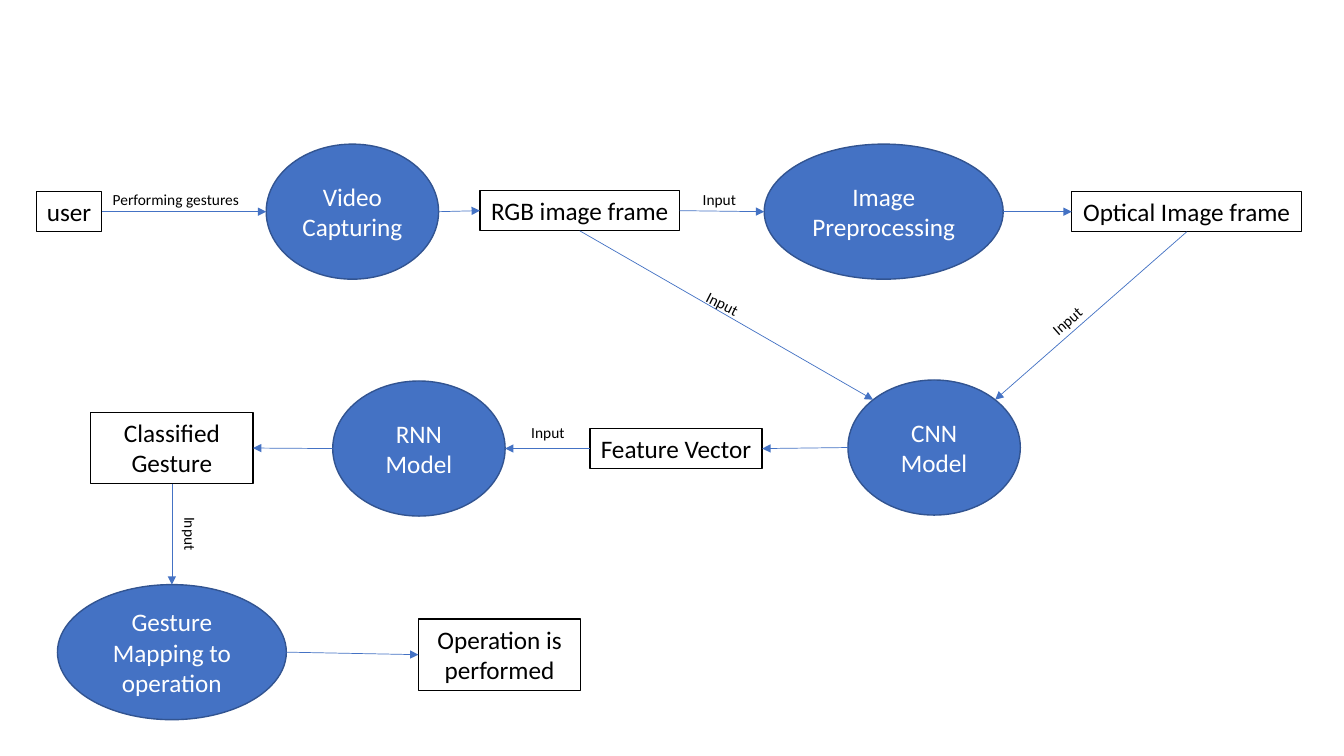
"""Build the gesture recognition data flow slide."""
from lxml.etree import SubElement
from pptx import Presentation
from pptx.dml.color import RGBColor
from pptx.enum.shapes import MSO_CONNECTOR, MSO_SHAPE
from pptx.enum.text import MSO_ANCHOR, MSO_AUTO_SIZE, PP_ALIGN
from pptx.oxml.ns import qn
from pptx.util import Inches, Pt

BLACK = RGBColor(0x00, 0x00, 0x00)
WHITE = RGBColor(0xFF, 0xFF, 0xFF)
BLUE = RGBColor(0x44, 0x72, 0xC4)
NAVY = RGBColor(0x32, 0x54, 0x91)

PROCESS_HEIGHT = 1.34
LABEL_HEIGHT = 0.29

DATA = {
    "user": (0.36, 1.9, 0.65, 0.4),
    "Feature Vector": (5.85, 4.25, 1.71, 0.4),
    "Optical Image frame": (10.63, 1.9, 2.28, 0.4),
    "RGB image frame": (4.76, 1.89, 1.98, 0.4),
    "Classified Gesture": (0.9, 4.09, 1.61, 0.71),
    "Operation is performed": (4.15, 6.14, 1.61, 0.71),
}
WRAPPED = {"Classified Gesture", "Operation is performed"}

PROCESSES = {
    "CNN Model": (8.41, 3.77, 1.71),
    "RNN Model": (3.3, 3.78, 1.71),
    "Image Preprocessing": (7.58, 1.43, 2.37),
    "Gesture Mapping to operation": (0.57, 5.8, 2.27),
    "Video Capturing": (2.64, 1.43, 1.71),
}

FLOWS = [
    ("user", "right", "Video Capturing", "left"),
    ("Video Capturing", "right", "RGB image frame", "left"),
    ("RGB image frame", "right", "Image Preprocessing", "left"),
    ("Image Preprocessing", "right", "Optical Image frame", "left"),
    ("RGB image frame", "bottom", "CNN Model", "top left"),
    ("Optical Image frame", "bottom", "CNN Model", "top right"),
    ("CNN Model", "left", "Feature Vector", "right"),
    ("Feature Vector", "left", "RNN Model", "right"),
    ("RNN Model", "left", "Classified Gesture", "right"),
    ("Classified Gesture", "bottom", "Gesture Mapping to operation", "top"),
    ("Gesture Mapping to operation", "right", "Operation is performed", "left"),
]

FLOW_LABELS = [
    ("Performing gestures", 1.01, 1.84, 1.47, 0),
    ("Input", 6.87, 1.84, 0.53, 0),
    ("Input", 10.32, 3.04, 0.53, 318.9),
    ("Input", 6.9, 2.87, 0.53, 26.9),
    ("Input", 5.17, 4.15, 0.53, 0),
    ("Input", 1.62, 5.15, 0.53, 90),
]

SIDES = {
    "top": (0.5, 0), "left": (0, 0.5), "bottom": (0.5, 1), "right": (1, 0.5),
    "top left": (0.146, 0.146), "top right": (0.854, 0.146),
}
BOX_SITES = {"top": 0, "left": 1, "bottom": 2, "right": 3}

DATA_FRAME = {"vertical_anchor": MSO_ANCHOR.TOP,
              "auto_size": MSO_AUTO_SIZE.SHAPE_TO_FIT_TEXT}
PROCESS_FRAME = {"vertical_anchor": MSO_ANCHOR.MIDDLE, "word_wrap": True}
LABEL_FRAME = {"word_wrap": False, "auto_size": MSO_AUTO_SIZE.SHAPE_TO_FIT_TEXT}


def apply(target, values):
    """Set each named attribute on the target."""
    for attribute, value in values.items():
        setattr(target, attribute, value)


def write(shape, wording, size, color, frame_format):
    """Put centred wording into a shape."""
    frame = shape.text_frame
    apply(frame, frame_format)
    paragraph = frame.paragraphs[0]
    paragraph.alignment = PP_ALIGN.CENTER
    run = paragraph.add_run()
    run.text = wording
    apply(run.font, {"name": "Calibri", "size": Pt(size)})
    run.font.color.rgb = color


def add_node(slide, preset, wording, bounds, colors, frame_format):
    """Add one filled and outlined node of the flow."""
    fill, outline, ink = colors
    node = slide.shapes.add_shape(preset, *map(Inches, bounds))
    node.shadow.inherit = False
    node.fill.solid()
    node.fill.fore_color.rgb = fill
    node.line.color.rgb = outline
    node.line.width = Pt(1)
    write(node, wording, 18, ink, frame_format)
    return node


def side_point(node, side):
    """Return the point on a node's outline for a named side."""
    across, down = SIDES[side]
    return (node.left + round(across * node.width),
            node.top + round(down * node.height))


def add_flow(slide, nodes, source, source_side, target, target_side):
    """Add an arrow and join it to the data boxes it touches."""
    flow = slide.shapes.add_connector(
        MSO_CONNECTOR.STRAIGHT,
        *side_point(nodes[source], source_side),
        *side_point(nodes[target], target_side))
    if source in DATA:
        flow.begin_connect(nodes[source], BOX_SITES[source_side])
    if target in DATA:
        flow.end_connect(nodes[target], BOX_SITES[target_side])
    flow.line.color.rgb = BLUE
    flow.line.width = Pt(0.5)
    SubElement(flow.line._get_or_add_ln(), qn("a:tailEnd"), type="triangle")
    SubElement(flow._element.spPr, qn("a:effectLst"))


def main():
    """Assemble the slide and save it."""
    deck = Presentation()
    apply(deck, {"slide_width": Inches(13.33), "slide_height": Inches(7.5)})
    slide = deck.slides.add_slide(deck.slide_layouts[6])

    nodes = {}
    for wording, bounds in DATA.items():
        frame_format = DATA_FRAME | {"word_wrap": wording in WRAPPED}
        nodes[wording] = add_node(slide, MSO_SHAPE.RECTANGLE, wording, bounds,
                                  (WHITE, BLACK, BLACK), frame_format)
    for wording, bounds in PROCESSES.items():
        nodes[wording] = add_node(slide, MSO_SHAPE.OVAL, wording,
                                  (*bounds, PROCESS_HEIGHT),
                                  (BLUE, NAVY, WHITE), PROCESS_FRAME)
    for flow in FLOWS:
        add_flow(slide, nodes, *flow)
    for wording, left, top, width, angle in FLOW_LABELS:
        label = slide.shapes.add_textbox(
            *map(Inches, (left, top, width, LABEL_HEIGHT)))
        label.rotation = angle
        write(label, wording, 11, BLACK, LABEL_FRAME)

    deck.save("out.pptx")


if __name__ == "__main__":
    main()
